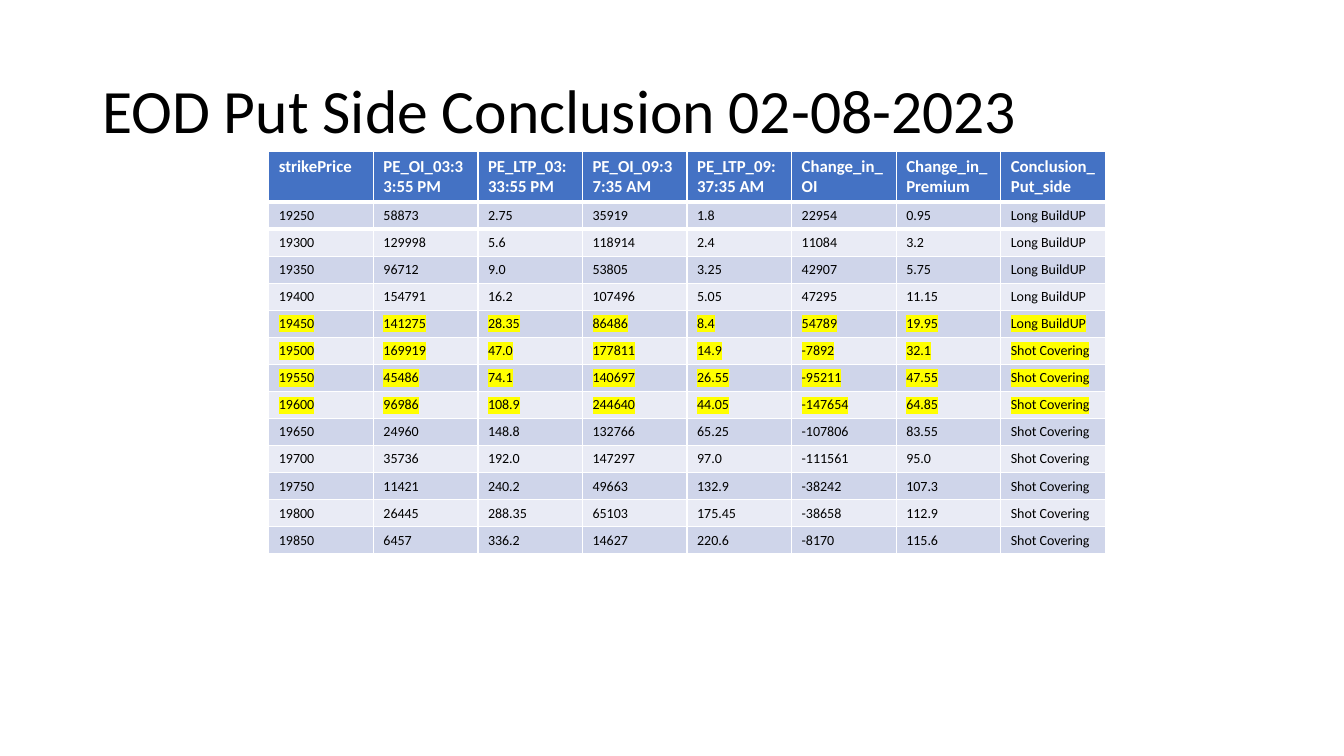
"""Build the end-of-day put side conclusion slide."""
from dataclasses import dataclass

from lxml import etree
from pptx import Presentation
from pptx.dml.color import RGBColor
from pptx.enum import text
from pptx.oxml import ns
from pptx.util import Pt

FONT = "Calibri"
BLACK, WHITE, YELLOW = "000000", "FFFFFF", "FFFF00"
HEADER_FILL = "4472C4"
BAND_FILLS = ("CFD5EA", "E9EBF5")
COL_W, HEADER_H, ROW_H = 74.7, 36.35, 19.35
HEADERS = (
    "strikePrice", "PE_OI_03:33:55 PM", "PE_LTP_03:33:55 PM",
    "PE_OI_09:37:35 AM", "PE_LTP_09:37:35 AM", "Change_in_OI",
    "Change_in_Premium", "Conclusion_Put_side",
)


@dataclass
class Strike:
    """Put open interest and last traded price at both times."""
    price: int
    oi_close: int
    ltp_close: float
    oi_open: int
    ltp_open: float
    highlighted: bool = False

    def values(self) -> list[str]:
        """Return the row's texts, with the derived columns."""
        oi_change = self.oi_close - self.oi_open
        premium_change = round(self.ltp_close - self.ltp_open, 2)
        conclusion = "Long BuildUP" if oi_change > 0 else "Shot Covering"
        return [str(v) for v in (
            self.price, self.oi_close, self.ltp_close, self.oi_open,
            self.ltp_open, oi_change, premium_change, conclusion)]


STRIKES = [
    Strike(19250, 58873, 2.75, 35919, 1.8),
    Strike(19300, 129998, 5.6, 118914, 2.4),
    Strike(19350, 96712, 9.0, 53805, 3.25),
    Strike(19400, 154791, 16.2, 107496, 5.05),
    Strike(19450, 141275, 28.35, 86486, 8.4, True),
    Strike(19500, 169919, 47.0, 177811, 14.9, True),
    Strike(19550, 45486, 74.1, 140697, 26.55, True),
    Strike(19600, 96986, 108.9, 244640, 44.05, True),
    Strike(19650, 24960, 148.8, 132766, 65.25),
    Strike(19700, 35736, 192.0, 147297, 97.0),
    Strike(19750, 11421, 240.2, 49663, 132.9),
    Strike(19800, 26445, 288.35, 65103, 175.45),
    Strike(19850, 6457, 336.2, 14627, 220.6),
]


def rgb(value: str) -> RGBColor:
    """Turn a hex string into a colour."""
    return RGBColor.from_string(value)


def write(p, words: str, size: float, color: str, bold: bool = False,
          highlight: str | None = None) -> None:
    """Add one formatted run to a paragraph."""
    r = p.add_run()
    r.text = words
    for name, value in {"name": FONT, "size": Pt(size), "bold": bold}.items():
        setattr(r.font, name, value)
    r.font.color.rgb = rgb(color)
    if highlight:
        mark = etree.Element(ns.qn("a:highlight"))
        etree.SubElement(mark, ns.qn("a:srgbClr"), val=highlight)
        r._r.rPr.find(ns.qn("a:solidFill")).addnext(mark)


def add_title(s, words: str) -> None:
    """Draw the slide title."""
    sp = s.shapes.add_textbox(Pt(66), Pt(28.75), Pt(828), Pt(104.4))
    tf = sp.text_frame
    frame_format = {"word_wrap": True, "vertical_anchor": text.MSO_ANCHOR.MIDDLE}
    for name, value in frame_format.items():
        setattr(tf, name, value)
    p = tf.paragraphs[0]
    p.line_spacing = 0.9
    write(p, words, 44, BLACK)


def set_border(cell, side: str, width: float) -> None:
    """Give one side of a cell a white line."""
    line = etree.SubElement(cell._tc.get_or_add_tcPr(), ns.qn(f"a:{side}"),
                            w=str(Pt(width)))
    fill = etree.SubElement(line, ns.qn("a:solidFill"))
    etree.SubElement(fill, ns.qn("a:srgbClr"), val=WHITE)


def fill_row(table, index: int, values: list[str], fill: str, **style) -> None:
    """Fill one table row with texts in a common style."""
    for cell, words in zip(table.rows[index].cells, values):
        if index < 2:
            set_border(cell, "lnT" if index else "lnB", 3)
        cell.fill.solid()
        cell.fill.fore_color.rgb = rgb(fill)
        write(cell.text_frame.paragraphs[0], words, **style)


def add_strike_table(s) -> None:
    """Draw the header and one banded row per strike."""
    height = HEADER_H + ROW_H * len(STRIKES)
    sp = s.shapes.add_table(len(STRIKES) + 1, len(HEADERS), Pt(192), Pt(108),
                            Pt(COL_W * len(HEADERS)), Pt(height))
    table = sp.table
    for i, row in enumerate(table.rows):
        row.height = Pt(ROW_H if i else HEADER_H)
    fill_row(table, 0, list(HEADERS), HEADER_FILL, size=12, color=WHITE, bold=True)
    for i, strike in enumerate(STRIKES):
        fill_row(table, i + 1, strike.values(), BAND_FILLS[i % 2], size=10,
                 color=BLACK, highlight=YELLOW if strike.highlighted else None)


def main() -> None:
    """Create and save the presentation."""
    prs = Presentation()
    prs.slide_width, prs.slide_height = Pt(960), Pt(540)
    s = prs.slides.add_slide(prs.slide_layouts[6])
    add_title(s, "EOD Put Side Conclusion 02-08-2023")
    add_strike_table(s)
    prs.save("out.pptx")


if __name__ == "__main__":
    main()
